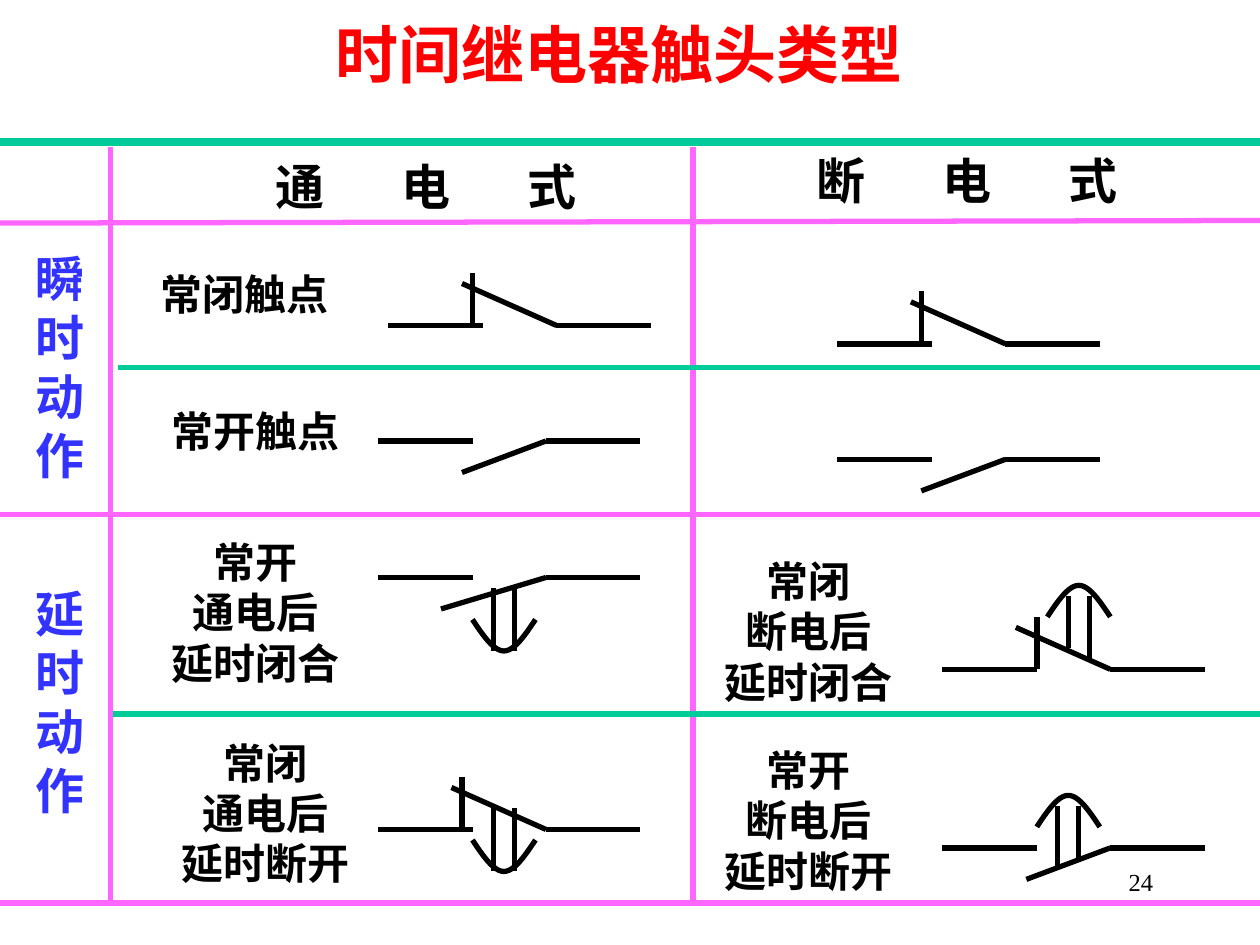
from lxml import etree
from pptx import Presentation
from pptx import util as u
from pptx.dml.color import RGBColor
from pptx.enum import shapes, text
from pptx.oxml.ns import qn

RED = RGBColor(0xFF, 0x00, 0x00)
BLUE = RGBColor(0x33, 0x33, 0xFF)
BLACK = RGBColor(0x00, 0x00, 0x00)
PINK = RGBColor(0xFF, 0x66, 0xFF)
GREEN = RGBColor(0x00, 0xCC, 0x99)
FONT = "Times New Roman"
# The slide is 120 columns by 90 rows of 1/12 inch
COLS, ROWS = 120, 90
ARC_STEPS = 24


def cell(n):
    return u.Inches(n / 12)


def style_text(frame, size, color, bold=True, align=text.PP_ALIGN.CENTER):
    for paragraph in frame.paragraphs:
        paragraph.alignment = align
        for run in paragraph.runs:
            run.font.name = FONT
            run.font.size = u.Pt(size)
            run.font.bold = bold
            run.font.color.rgb = color


def add_line(slide, x1, y1, x2, y2, color=BLACK, width=3):
    line = slide.shapes.add_connector(
        shapes.MSO_CONNECTOR.STRAIGHT, cell(x1), cell(y1), cell(x2), cell(y2))
    line.line.color.rgb = color
    line.line.width = u.Pt(width)
    etree.SubElement(line._element.spPr, qn("a:effectLst"))


def add_label(slide, x, y, words, size=24, color=BLACK):
    """Text centred on (x, y), in a box sized by its lines."""
    lines = words.split("\n")
    width = max(map(len, lines)) * size / 6 + 2.4
    height = len(lines) * size / 5 + 1.2
    box = slide.shapes.add_textbox(
        cell(x - width / 2), cell(y - height / 2), cell(width), cell(height))
    frame = box.text_frame
    frame.word_wrap = False
    frame.vertical_anchor = text.MSO_ANCHOR.MIDDLE
    frame.text = words
    style_text(frame, size, color)


def add_header(slide, left, top, words):
    """Three characters spread by tab stops one inch apart."""
    box = slide.shapes.add_textbox(cell(left), cell(top), cell(31.2), cell(6.8))
    frame = box.text_frame
    frame.word_wrap = True
    frame.margin_right = 0
    frame.vertical_anchor = text.MSO_ANCHOR.MIDDLE
    frame.text = "\t".join(words)
    stops = etree.SubElement(frame.paragraphs[0]._p.get_or_add_pPr(), qn("a:tabLst"))
    for n in (1, 2):
        etree.SubElement(stops, qn("a:tab"), pos=str(u.Inches(n)), algn="l")
    style_text(frame, 28, BLACK, align=text.PP_ALIGN.LEFT)


def add_contact(slide, x, y, blade, stop=None):
    """Contact symbol with its blade pivoting at (x, y)."""
    add_line(slide, x, y, x + 9, y)
    add_line(slide, x - 16, y, x - 7, y)
    add_line(slide, x, y, x + blade[0], y + blade[1])
    if stop is not None:
        add_line(slide, x + stop, y, x + stop, y - 5)


def add_delay(slide, x, bars, rim, apex):
    """Two bars and the arc that marks the direction of the delay."""
    for side, (start, end) in zip((-1, 1), bars):
        add_line(slide, x + side, start, x + side, end)
    points = []
    for i in range(ARC_STEPS + 1):
        share = i / ARC_STEPS
        t = 1 - abs(2 * share - 1)
        rise = 1.5 * t - 0.5 * t ** 3
        points.append((cell(x - 3 + 6 * share), cell(rim + (apex - rim) * rise)))
    builder = slide.shapes.build_freeform(*points[0])
    builder.add_line_segments(points[1:], close=False)
    arc = builder.convert_to_shape()
    arc.shadow.inherit = False
    arc.fill.background()
    arc.line.color.rgb = BLACK
    arc.line.width = u.Pt(3)


def add_title(slide, words):
    title = slide.shapes.title
    title.left, title.top = cell(8), 0
    title.width, title.height = cell(102), cell(10.1)
    title.text_frame.text = words
    title.text_frame.vertical_anchor = text.MSO_ANCHOR.MIDDLE
    style_text(title.text_frame, 36, RED)


def add_page_number(slide, number):
    box = slide.shapes.add_textbox(cell(86), cell(82), cell(25), cell(6))
    box.text_frame.word_wrap = True
    box.text_frame.text = number
    style_text(box.text_frame, 14, BLACK, False, text.PP_ALIGN.RIGHT)


def add_grid(slide):
    add_line(slide, 0, 13.5, COLS, 13.5, GREEN, 4.5)
    add_line(slide, 0, 21.25, COLS, 21, PINK)
    for row in (49, 86):
        add_line(slide, 0, row, COLS, row, PINK)
    for column in (10.5, 66):
        add_line(slide, column, 14, column, 86, PINK)
    for left, row in ((11.2, 35), (10.8, 68)):
        add_line(slide, left, row, COLS, row, GREEN)


def main():
    prs = Presentation()
    prs.slide_width, prs.slide_height = cell(COLS), cell(ROWS)
    slide = prs.slides.add_slide(prs.slide_layouts[5])
    add_title(slide, "时间继电器触头类型")
    add_grid(slide)

    # Column and row headings
    add_header(slide, 25.1, 14.3, "通电式")
    add_header(slide, 76.6, 13.7, "断电式")
    add_label(slide, 5.7, 34.9, "瞬\n时\n动\n作", 28, BLUE)
    add_label(slide, 5.7, 66.8, "延\n时\n动\n作", 28, BLUE)

    # Contact names
    for x, y, words in (
        (23.3, 28, "常闭触点"),
        (24.3, 41, "常开触点"),
        (24.3, 58.3, "常开\n通电后\n延时闭合"),
        (25.3, 77.4, "常闭\n通电后\n延时断开"),
        (77, 60.1, "常闭\n断电后\n延时闭合"),
        (77, 78.1, "常开\n断电后\n延时断开"),
    ):
        add_label(slide, x, y, words)

    # Normally closed contacts: blade up against a stop
    for x, y, stop in ((53, 31, -8), (95.75, 32.75, -8),
                       (52, 79, -8), (105.75, 63.75, -7)):
        add_contact(slide, x, y, (-9, -4), stop)
    # Normally open contacts: blade hanging down
    for x, y, reach in ((52, 42, -8), (95.75, 43.75, -8),
                        (52, 55, -10), (105.75, 80.75, -8)):
        add_contact(slide, x, y, (reach, 3))

    # Delay marks: downward when energised, upward when de-energised
    for top in (56, 77):
        add_delay(slide, 48, [(top, top + 6)] * 2, top + 3, top + 6)
    for x, top, length in ((102.75, 56.75, 5), (101.75, 76.75, 6)):
        bars = [(top, top + length), (top, top + (6 if length == 5 else 5))]
        add_delay(slide, x, bars, top + 2, top - 1)

    add_page_number(slide, "24")
    prs.save("out.pptx")


if __name__ == "__main__":
    main()
